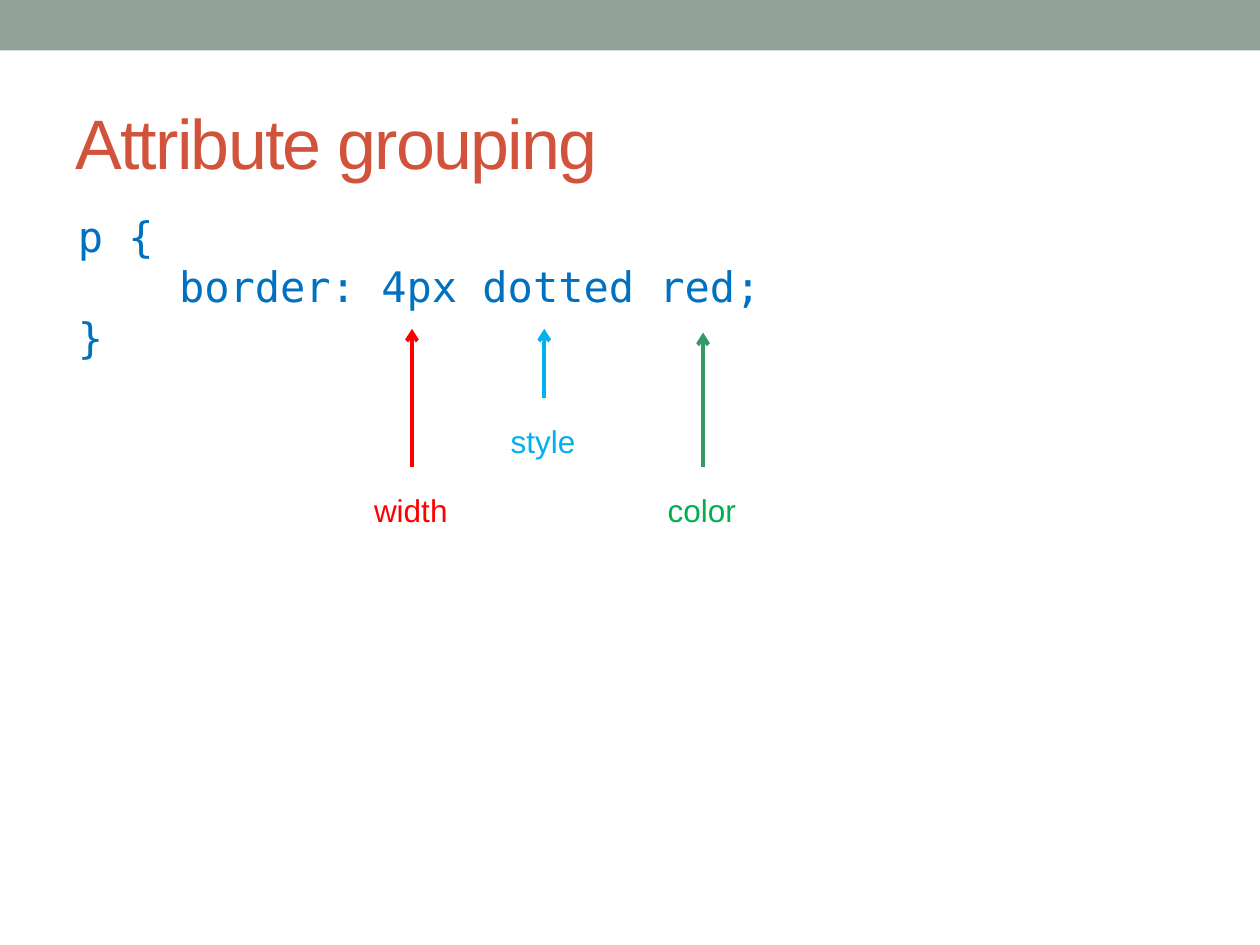
from dataclasses import dataclass

from lxml import etree
from pptx import Presentation
from pptx.dml.color import RGBColor
from pptx.enum import shapes, text
from pptx.oxml import ns
from pptx.util import Inches, Pt


@dataclass(frozen=True)
class Theme:
    bar: str = "93A299"
    title: str = "D2533C"
    code: str = "0070C0"
    width: str = "FF0000"
    style: str = "00B0F0"
    color_arrow: str = "339966"
    color_label: str = "00B050"
    body_font: str = "Arial"
    code_font: str = "DejaVu Sans Mono"
    title_size: int = 40
    code_size: int = 24
    label_size: int = 18
    arrow_weight: float = 2.25


THEME = Theme()


def add_bar(s):
    bar = s.shapes.add_shape(
        shapes.MSO_SHAPE.RECTANGLE, 0, 0, Inches(10), Inches(0.4))
    bar.shadow.inherit = False
    bar.fill.solid()
    bar.fill.fore_color.rgb = RGBColor.from_string(THEME.bar)
    bar.line.fill.background()


def add_text(s, box, content, font, size, color, align=text.PP_ALIGN.LEFT):
    tf = s.shapes.add_textbox(*map(Inches, box)).text_frame
    tf.word_wrap = True
    tf.text = content
    for p in tf.paragraphs:
        p.alignment = align
        for r in p.runs:
            r.font.name = font
            r.font.size = Pt(size)
            r.font.color.rgb = RGBColor.from_string(color)
    return tf


def add_title(s, content):
    tf = add_text(s, (0.5, 0.58, 9, 1.08), content,
                  THEME.body_font, THEME.title_size, THEME.title)
    tf.vertical_anchor = text.MSO_ANCHOR.MIDDLE
    tf.paragraphs[0].runs[0].font._element.set("spc", "-100")


def add_arrow(s, x, bottom, top, color):
    arrow = s.shapes.add_connector(
        shapes.MSO_CONNECTOR.STRAIGHT,
        Inches(x), Inches(bottom), Inches(x), Inches(top))
    arrow.line.color.rgb = RGBColor.from_string(color)
    arrow.line.width = Pt(THEME.arrow_weight)
    etree.SubElement(arrow.line._get_or_add_ln(), ns.qn("a:tailEnd"), type="arrow")
    etree.SubElement(arrow._element.spPr, ns.qn("a:effectLst"))


def add_callout(s, label, x, bottom, top, arrow_color, label_color):
    add_arrow(s, x, bottom, top, arrow_color)
    add_text(s, (x - 0.6, bottom + 0.14, 1.18, 0.4), label, THEME.body_font,
             THEME.label_size, label_color, text.PP_ALIGN.CENTER)


def main():
    prs = Presentation()
    prs.slide_width, prs.slide_height = Inches(10), Inches(7.5)
    s = prs.slides.add_slide(prs.slide_layouts[6])
    add_bar(s)
    add_title(s, "Attribute grouping")
    add_text(s, (0.52, 1.62, 8.41, 1.31),
             "p {\n    border: 4px dotted red;\n}",
             THEME.code_font, THEME.code_size, THEME.code)
    callouts = [
        ("width", 3.27, 3.71, 2.61, THEME.width, THEME.width),
        ("style", 4.32, 3.16, 2.61, THEME.style, THEME.style),
        ("color", 5.58, 3.71, 2.64, THEME.color_arrow, THEME.color_label),
    ]
    for callout in callouts:
        add_callout(s, *callout)
    prs.save("out.pptx")


if __name__ == "__main__":
    main()
